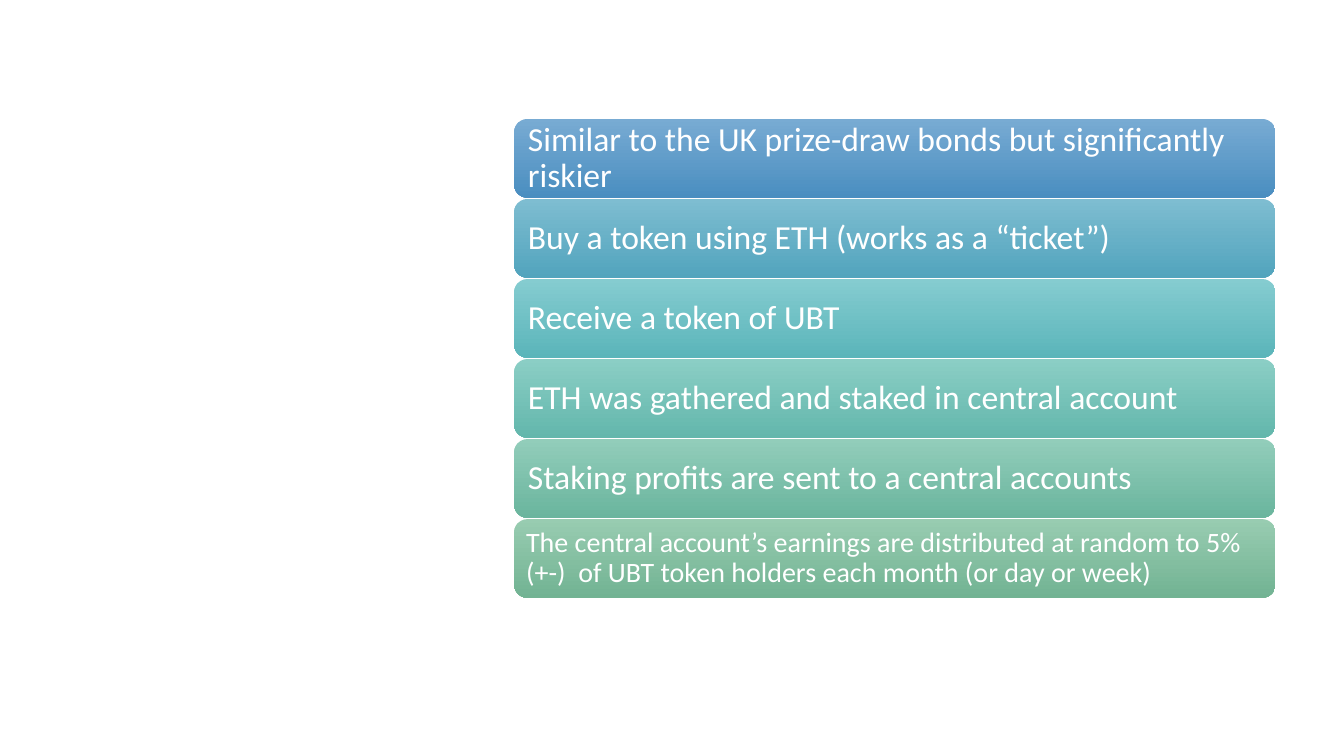
from pptx import Presentation
from pptx import util as u
from pptx.dml.color import RGBColor
from pptx.enum import shapes, text

COLORS = {
    "text": "FFFFFF",
    "blue": ("78ABD3", "4A8EC0"),
    "sky": ("7EBDD1", "52A4BD"),
    "cyan": ("85CCD0", "5BB5BA"),
    "teal": ("8BCEC5", "63B7AC"),
    "mint": ("92CDBA", "6AB59E"),
    "green": ("98CCB1", "72B393"),
}

# Wording, colour, text size in points, inset in inches
STEPS = [
    ("Similar to the UK prize-draw bonds but significantly riskier", "blue", 24, 0.1),
    ("Buy a token using ETH (works as a “ticket”)", "sky", 24, 0.1),
    ("Receive a token of UBT", "cyan", 24, 0.1),
    ("ETH was gathered and staked in central account", "teal", 24, 0.1),
    ("Staking profits are sent to a central accounts", "mint", 24, 0.1),
    ("The central account’s earnings are distributed at random to 5% (+-)  of UBT "
     "token holders each month (or day or week)", "green", 20, 0.08),
]

LEFT, TOP, WIDTH, HEIGHT = 5.1, 1.18, 7.55, 0.78
ROW_PITCH = (5.15 - TOP) / (len(STEPS) - 1)

deck = Presentation()
deck.slide_width = u.Inches(13.33)
deck.slide_height = u.Inches(7.5)
page = deck.slides.add_slide(deck.slide_layouts[6])

for row, (wording, color, size, inset) in enumerate(STEPS):
    bar = page.shapes.add_shape(
        shapes.MSO_SHAPE.ROUNDED_RECTANGLE,
        u.Inches(LEFT), u.Inches(TOP + row * ROW_PITCH),
        u.Inches(WIDTH), u.Inches(HEIGHT))
    bar.name = f"Step {row + 1}"
    bar.shadow.inherit = False
    bar.line.fill.background()
    bar.fill.gradient()
    bar.fill.gradient_angle = 270
    for stop, shade in zip(bar.fill.gradient_stops, COLORS[color]):
        stop.color.rgb = RGBColor.from_string(shade)

    frame = bar.text_frame
    frame.word_wrap = True
    frame.vertical_anchor = text.MSO_ANCHOR.MIDDLE
    frame.margin_left = frame.margin_right = u.Inches(inset)
    frame.margin_top = frame.margin_bottom = u.Inches(inset)

    para = frame.paragraphs[0]
    para.text = wording
    para.alignment = text.PP_ALIGN.LEFT
    para.line_spacing = 0.9
    para.font.name = "Calibri"
    para.font.size = u.Pt(size)
    para.font.color.rgb = RGBColor.from_string(COLORS["text"])

deck.save("out.pptx")
